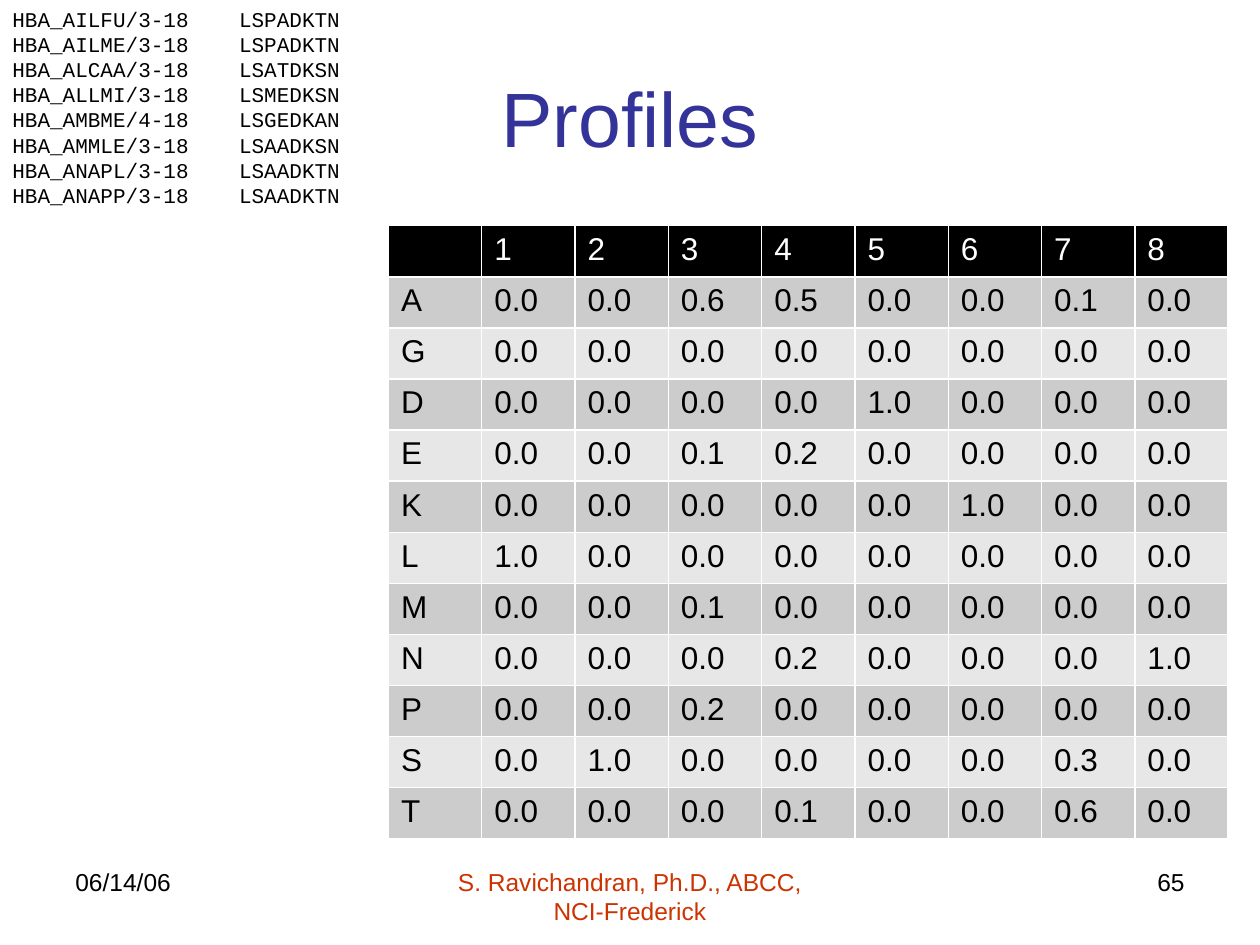
from pptx import Presentation
from pptx.dml.color import RGBColor
from pptx.enum.text import MSO_ANCHOR, PP_ALIGN
from pptx.oxml.ns import qn
from pptx.util import Cm, Pt
from lxml.etree import SubElement

BLACK, WHITE = "000000", "FFFFFF"
BANDS = ["CCCCCC", "E7E7E7"]

ALIGNMENT = [
    ("HBA_AILFU/3-18", "LSPADKTN"),
    ("HBA_AILME/3-18", "LSPADKTN"),
    ("HBA_ALCAA/3-18", "LSATDKSN"),
    ("HBA_ALLMI/3-18", "LSMEDKSN"),
    ("HBA_AMBME/4-18", "LSGEDKAN"),
    ("HBA_AMMLE/3-18", "LSAADKSN"),
    ("HBA_ANAPL/3-18", "LSAADKTN"),
    ("HBA_ANAPP/3-18", "LSAADKTN"),
]

PROFILE = {
    "A": [0, 0, 0.6, 0.5, 0, 0, 0.1, 0],
    "G": [0, 0, 0, 0, 0, 0, 0, 0],
    "D": [0, 0, 0, 0, 1, 0, 0, 0],
    "E": [0, 0, 0.1, 0.2, 0, 0, 0, 0],
    "K": [0, 0, 0, 0, 0, 1, 0, 0],
    "L": [1, 0, 0, 0, 0, 0, 0, 0],
    "M": [0, 0, 0.1, 0, 0, 0, 0, 0],
    "N": [0, 0, 0, 0.2, 0, 0, 0, 1],
    "P": [0, 0, 0.2, 0, 0, 0, 0, 0],
    "S": [0, 1, 0, 0, 0, 0, 0.3, 0],
    "T": [0, 0, 0, 0.1, 0, 0, 0.6, 0],
}


def rgb(color):
    return RGBColor.from_string(color)


def style(p, size, color=BLACK, font="Arial", align=PP_ALIGN.LEFT):
    p.alignment = align
    p.font.name = font
    p.font.size = Pt(size)
    p.font.bold = False
    p.font.color.rgb = rgb(color)


def add_tab_stop(p, position):
    tabs = SubElement(p._p.get_or_add_pPr(), qn("a:tabLst"))
    SubElement(tabs, qn("a:tab"), pos=str(int(position)), algn="l")


def add_text_box(s, left, top, width, height):
    tf = s.shapes.add_textbox(Cm(left), Cm(top), Cm(width), Cm(height)).text_frame
    tf.word_wrap = True
    return tf


def set_title(s, text):
    title = s.shapes.title
    title.left, title.top = Cm(1.27), Cm(0.76)
    title.width, title.height = Cm(22.86), Cm(3.18)
    tf = title.text_frame
    tf.text = text
    tf.vertical_anchor = MSO_ANCHOR.MIDDLE
    style(tf.paragraphs[0], 44, "333399", align=PP_ALIGN.CENTER)


def add_footer(s, text, left, width, align, color=BLACK):
    p = add_text_box(s, left, 17.35, width, 1.32).paragraphs[0]
    p.text = text
    style(p, 14, color, align=align)


def add_alignment(s):
    tf = add_text_box(s, 0, 0, 8.26, 4.37)
    for i, (name, sequence) in enumerate(ALIGNMENT):
        p = tf.add_paragraph() if i else tf.paragraphs[0]
        p.text = f"{name}\t{sequence}"
        add_tab_stop(p, Cm(4.57))
        style(p, 12, font="Courier New")


def fill_cell(cell, text, fill, color):
    cell.fill.solid()
    cell.fill.fore_color.rgb = rgb(fill)
    p = cell.text_frame.paragraphs[0]
    p.text = text
    style(p, 18, color)


def add_profile_table(s):
    rows = [["", *map(str, range(1, 9))]]
    rows += [[residue, *(f"{v:.1f}" for v in values)]
             for residue, values in PROFILE.items()]
    table = s.shapes.add_table(len(rows), len(rows[0]), Cm(7.83), Cm(4.55),
                               Cm(16.93), Cm(12.36)).table
    for i, row in enumerate(rows):
        fill, color = (BANDS[(i - 1) % 2], BLACK) if i else (BLACK, WHITE)
        for j, text in enumerate(row):
            fill_cell(table.cell(i, j), text, fill, color)


def main():
    prs = Presentation()
    prs.slide_width, prs.slide_height = Cm(25.4), Cm(19.05)
    s = prs.slides.add_slide(prs.slide_layouts[5])
    set_title(s, "Profiles")
    add_footer(s, "06/14/06", 1.27, 5.93, PP_ALIGN.LEFT)
    add_footer(s, "S. Ravichandran, Ph.D., ABCC, NCI-Frederick", 8.68, 8.04,
               PP_ALIGN.CENTER, "CC3300")
    add_footer(s, "65", 18.2, 5.93, PP_ALIGN.RIGHT)
    add_alignment(s)
    add_profile_table(s)
    prs.save("out.pptx")


if __name__ == "__main__":
    main()
